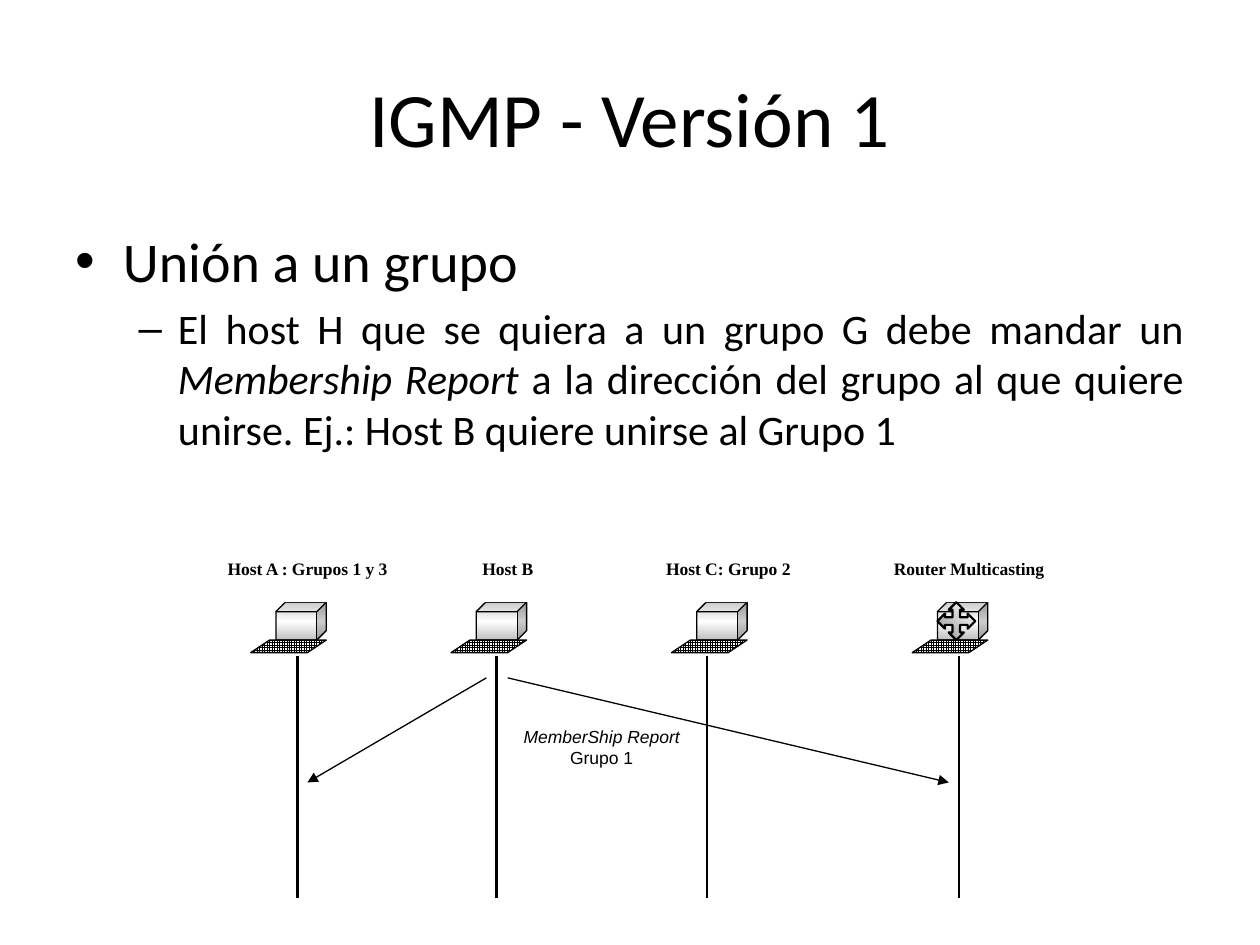
import copy
import pptx
import pptx.util
import pptx.dml.color
import pptx.enum.dml
import pptx.enum.shapes
import pptx.enum.text
import pptx.oxml

Inches, Pt = pptx.util.Inches, pptx.util.Pt
SHAPE = pptx.enum.shapes.MSO_SHAPE
ALIGN = pptx.enum.text.PP_ALIGN
COLORS = {
    name: pptx.dml.color.RGBColor.from_string(value)
    for name, value in {"black": "000000", "white": "FFFFFF",
                        "silver": "C0C0C0", "gray": "969696"}.items()
}
DRAWING = 'xmlns:a="http://schemas.openxmlformats.org/drawingml/2006/main"'


def add_span(para, text, **format_values):
    span = para.add_run()
    span.text = text
    for name, value in format_values.items():
        setattr(span.font, name, value)
    span.font.color.rgb = COLORS["black"]


def add_line(start, end, width, arrow=False):
    line = page.shapes.add_connector(
        pptx.enum.shapes.MSO_CONNECTOR.STRAIGHT, *map(Inches, start + end))
    line.line.color.rgb = COLORS["black"]
    line.line.width = Pt(width)
    if arrow:
        line.line._get_or_add_ln().append(
            pptx.oxml.parse_xml(f'<a:tailEnd {DRAWING} type="triangle"/>'))
    line._element.spPr.append(pptx.oxml.parse_xml(f"<a:effectLst {DRAWING}/>"))


deck = pptx.Presentation()
deck.slide_width, deck.slide_height = Inches(10), Inches(7.5)
page = deck.slides.add_slide(deck.slide_layouts[1])

# Title and list
title, body = page.placeholders
for box, place in ((title, (0.5, 0.3, 9, 1.25)), (body, (0.5, 1.75, 9, 4.95))):
    box.left, box.top, box.width, box.height = map(Inches, place)
add_span(title.text_frame.paragraphs[0], "IGMP - Versión 1",
         size=Pt(44), name="Calibri")
add_span(body.text_frame.paragraphs[0], "Unión a un grupo",
         size=Pt(32), name="Calibri")
para = body.text_frame.add_paragraph()
para.level = 1
para.alignment = ALIGN.JUSTIFY
for text, italic in (
    ("El host H que se quiera a un grupo G debe mandar un ", False),
    ("Membership Report", True),
    (" a la dirección del grupo al que quiere unirse. "
     "Ej.: Host B quiere unirse al Grupo 1", False),
):
    add_span(para, text, size=Pt(24), name="Calibri", italic=italic)

# Report messages sent by host B
add_line((3.86, 5.38), (2.44, 6.21), 0.75, arrow=True)
add_line((4.03, 5.38), (7.53, 6.21), 0.75, arrow=True)

# Computers: monitor, keyboard and label
stations = (("Host A : Grupos 1 y 3", 1.69), ("Host B", 3.28),
            ("Host C: Grupo 2", 5.03), ("Router Multicasting", 6.94))
for name, left in stations:
    monitor = page.shapes.add_shape(
        SHAPE.CUBE, Inches(left + 0.5), Inches(4.78), Inches(0.4), Inches(0.3))
    monitor.fill.gradient()
    monitor.fill.gradient_angle = 270
    stops = monitor.fill.gradient_stops
    for stop, color, position in zip(stops, ("silver", "white"), (0, 0.5)):
        stop.color.rgb = COLORS[color]
        stop.position = position
    last = copy.deepcopy(stops[0]._gs)
    last.set("pos", "100000")
    stops[1]._gs.addnext(last)

    keyboard = page.shapes.add_shape(
        SHAPE.PARALLELOGRAM, Inches(left + 0.3), Inches(5.08), Inches(0.6), Inches(0.1))
    keyboard.adjustments[0] = 1.5
    keyboard.fill.patterned()
    keyboard.fill.pattern = pptx.enum.dml.MSO_PATTERN.SMALL_GRID
    keyboard.fill.fore_color.rgb = COLORS["black"]
    keyboard.fill.back_color.rgb = COLORS["white"]

    for part in (monitor, keyboard):
        part.shadow.inherit = False
        part.line.color.rgb = COLORS["black"]
        part.line.width = Pt(0.75)

    label = page.shapes.add_shape(
        SHAPE.RECTANGLE, Inches(left), Inches(4.38), Inches(1.5), Inches(0.4))
    label.shadow.inherit = False
    label.fill.solid()
    label.fill.fore_color.rgb = COLORS["white"]
    label.line.fill.background()
    label.text_frame.vertical_anchor = pptx.enum.text.MSO_ANCHOR.TOP
    para = label.text_frame.paragraphs[0]
    para.alignment = ALIGN.CENTER
    add_span(para, name, size=Pt(10), name="Times New Roman", bold=True)

# Four-way arrow on the router: one arm turned by quarters
arm = [(0, -0.15), (0.06, -0.09), (0.03, -0.09),
       (0.03, -0.03), (0.09, -0.03), (0.09, -0.06)]
outline = []
for turn in range(4):
    outline += arm
    arm = [(-y, x) for x, y in arm]
points = [(Inches(7.59 + x), Inches(4.93 + y)) for x, y in outline]
builder = page.shapes.build_freeform(*points[0])
builder.add_line_segments(points[1:], close=True)
cross = builder.convert_to_shape()
cross.shadow.inherit = False
cross.fill.gradient()
cross.fill.gradient_angle = 45
for stop, color, position in zip(cross.fill.gradient_stops, ("gray", "white"), (0, 1)):
    stop.color.rgb = COLORS[color]
    stop.position = position
cross.line.color.rgb = COLORS["black"]
cross.line.width = Pt(1.25)

# Time lines
for x in (2.36, 3.94, 5.61, 7.61):
    add_line((x, 5.21), (x, 7.13), 1.5)

# Message caption
caption = page.shapes.add_textbox(
    Inches(3.94), Inches(5.71), Inches(1.67), Inches(0.43))
caption.text_frame.word_wrap = True
caption.text_frame.auto_size = pptx.enum.text.MSO_AUTO_SIZE.SHAPE_TO_FIT_TEXT
para = caption.text_frame.paragraphs[0]
para.alignment = ALIGN.CENTER
para.space_before = Pt(5)
for text, italic in (("MemberShip Report", True), (" Grupo 1", False)):
    add_span(para, text, size=Pt(10), name="Arial", italic=italic)

deck.save("out.pptx")
